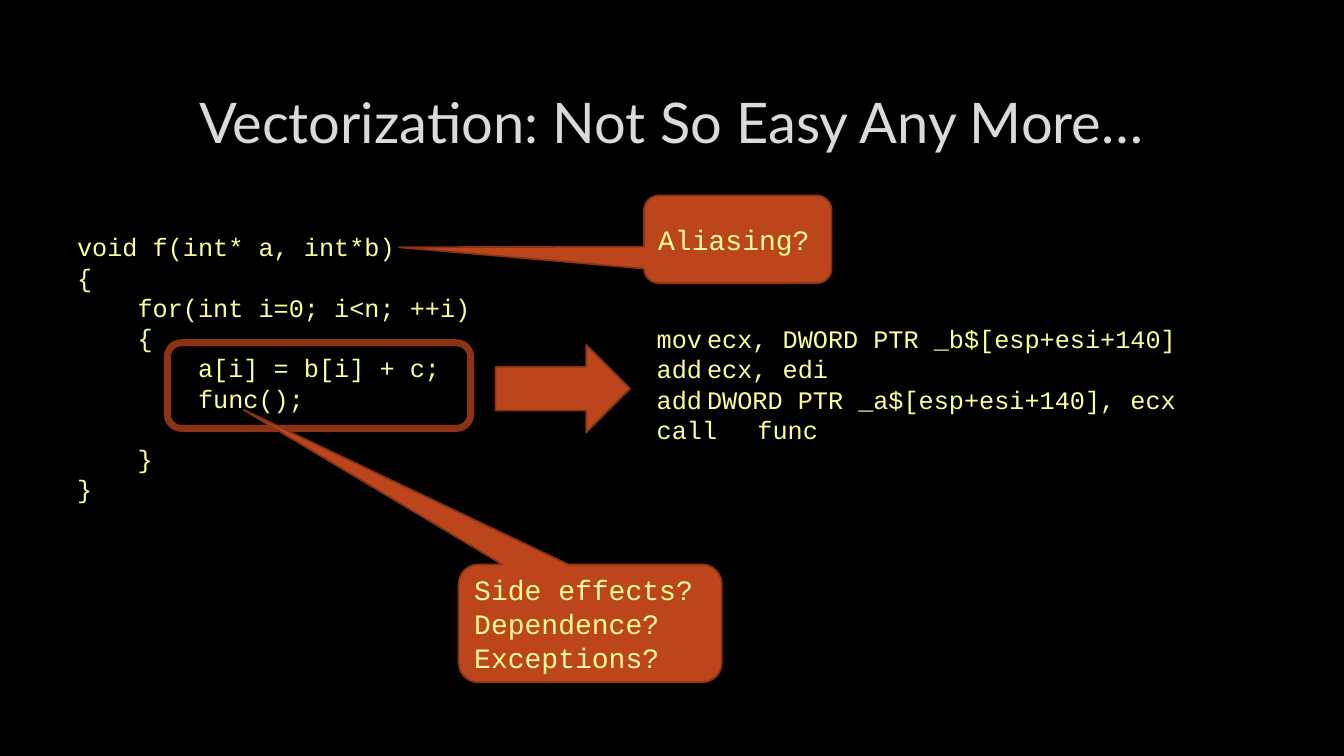
"""Build the slide on why vectorization is harder with aliasing and calls."""
from pptx import Presentation
from pptx.dml.color import RGBColor
from pptx.enum import shapes, text
from pptx.util import Pt

TITLE = "Vectorization: Not So Easy Any More…"
SOURCE_CODE = [
    "void f(int* a, int*b)",
    "{",
    "    for(int i=0; i<n; ++i)",
    "    {",
    "        a[i] = b[i] + c;",
    "        func();",
    "    }",
    "}",
]
LINE_AFTER_GAP = 6
ASSEMBLY = [
    "mov\tecx, DWORD PTR _b$[esp+esi+140]",
    "add\tecx, edi",
    "add\tDWORD PTR _a$[esp+esi+140], ecx",
    "call\tfunc",
]
CALLOUTS = [
    (["Aliasing?"], (460, 139.7, 134, 62.6), (-1.806, 0.091)),
    (["Side effects?", "Dependence?", "Exceptions?"],
     (327.6, 403.2, 188, 84.2), (-1.317, -1.812)),
]
BLACK, RUST, DARK_RUST = "000000", "BC451B", "8B3314"
YELLOW, LIGHT_GREY = "FFFF99", "DADADA"
LINE_PITCH = 1.2


def colour(value):
    return RGBColor.from_string(value)


def points(values):
    return [Pt(value) for value in values]


def write_code(frame, lines, size, gap_before=None):
    frame.word_wrap = True
    frame.text = "\n".join(lines)
    for index, para in enumerate(frame.paragraphs):
        para.alignment = text.PP_ALIGN.LEFT
        para.line_spacing = Pt(size * LINE_PITCH)
        if index == gap_before:
            para.space_before = Pt(size * LINE_PITCH)
        for span in para.runs:
            span.font.name = "Courier New"
            span.font.size = Pt(size)
            span.font.color.rgb = colour(YELLOW)


def add_code(page, lines, place, gap_before=None):
    box = page.shapes.add_textbox(*points(place))
    write_code(box.text_frame, lines, 18, gap_before)


def add_figure(page, kind, place, fill=RUST, width=1.25):
    figure = page.shapes.add_shape(kind, *points(place))
    figure.shadow.inherit = False
    if fill:
        figure.fill.solid()
        figure.fill.fore_color.rgb = colour(fill)
    else:
        figure.fill.background()
    figure.line.color.rgb = colour(DARK_RUST)
    figure.line.width = Pt(width)
    return figure


def add_title(page):
    title = page.shapes.title
    title.left, title.top, title.width, title.height = points((72, 48.2, 815, 76.3))
    title.text_frame.text = TITLE
    title.text_frame.vertical_anchor = text.MSO_ANCHOR.MIDDLE
    para = title.text_frame.paragraphs[0]
    para.alignment = text.PP_ALIGN.CENTER
    font = para.runs[0].font
    font.name, font.size = "Lato", Pt(40)
    font.color.rgb = colour(LIGHT_GREY)


def main():
    deck = Presentation()
    deck.slide_width, deck.slide_height = points((960, 540))
    page = deck.slides.add_slide(deck.slide_layouts[5])
    page.background.fill.solid()
    page.background.fill.fore_color.rgb = colour(BLACK)
    add_title(page)
    add_code(page, SOURCE_CODE, (48, 162, 306, 204), LINE_AFTER_GAP)
    add_code(page, ASSEMBLY, (462, 227.6, 468, 94.4))
    kinds = shapes.MSO_SHAPE
    add_figure(page, kinds.RIGHT_ARROW, (354, 246.4, 96, 62.6))
    add_figure(page, kinds.ROUNDED_RECTANGLE, (119.5, 244.8, 216.7, 61.2), None, 5)
    for lines, place, tip in CALLOUTS:
        callout = add_figure(page, kinds.ROUNDED_RECTANGULAR_CALLOUT, place)
        callout.adjustments[0], callout.adjustments[1] = tip
        callout.text_frame.vertical_anchor = text.MSO_ANCHOR.MIDDLE
        write_code(callout.text_frame, lines, 20)
    deck.save("out.pptx")


if __name__ == "__main__":
    main()
